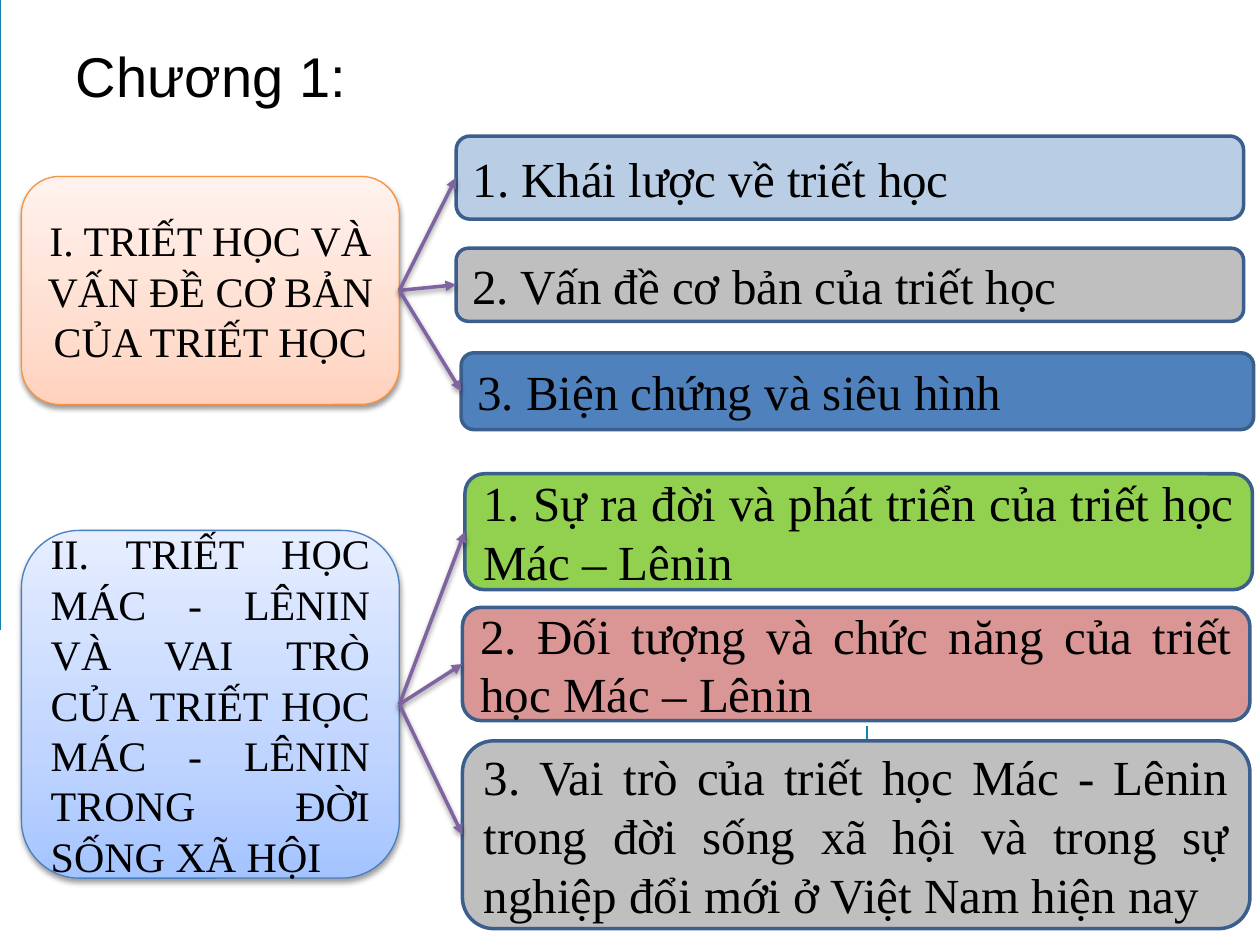
from pptx import Presentation
from pptx.dml.color import RGBColor
from pptx.enum.shapes import MSO_CONNECTOR, MSO_SHAPE
from pptx.enum.text import MSO_ANCHOR, PP_ALIGN
from pptx.oxml import parse_xml
from pptx.oxml.ns import nsdecls, qn
from pptx.util import Inches, Pt

RECTANGLE, ROUNDED = MSO_SHAPE.RECTANGLE, MSO_SHAPE.ROUNDED_RECTANGLE
STRAIGHT = MSO_CONNECTOR.STRAIGHT
LEFT, CENTER, JUSTIFY = PP_ALIGN.LEFT, PP_ALIGN.CENTER, PP_ALIGN.JUSTIFY
MIDDLE = MSO_ANCHOR.MIDDLE
LEFT_SITE, RIGHT_SITE = 1, 3
SERIF = "Times New Roman"

TITLE = "Chương 1:"
PANELS = [((0, 0, 10, 5), "1482AC"), ((0.01, 0, 9.99, 5), "FFFFFF")]
SECTIONS = [
    {
        "text": "I. TRIẾT HỌC VÀ VẤN ĐỀ CƠ BẢN CỦA TRIẾT HỌC",
        "box": (0.17, 1.4, 3, 1.81),
        "align": CENTER,
        "line": "F69240",
        "stops": [(0, "FFD2BD"), (35, "FFDED0"), (100, "FFF2ED")],
        "topics": [
            ("1. Khái lược về triết học", (3.62, 1.08, 6.25, 0.66), "B9CDE5"),
            ("2. Vấn đề cơ bản của triết học", (3.62, 1.97, 6.25, 0.58), "BFBFBF"),
            ("3. Biện chứng và siêu hình", (3.66, 2.8, 6.29, 0.61), "4F81BD"),
        ],
    },
    {
        "text": "II. TRIẾT HỌC MÁC - LÊNIN VÀ VAI TRÒ CỦA TRIẾT HỌC MÁC - LÊNIN "
                "TRONG ĐỜI SỐNG XÃ HỘI",
        "box": (0.17, 4.21, 3, 2.76),
        "align": JUSTIFY,
        "line": "4B7EBC",
        "stops": [(0, "A4C4FF"), (35, "BFD4FF"), (100, "E6EEFF")],
        "topics": [
            ("1. Sự ra đời và phát triển của triết học Mác – Lênin",
             (3.69, 3.76, 6.25, 0.92), "92D050"),
            ("2. Đối tượng và chức năng của triết học Mác – Lênin",
             (3.67, 4.82, 6.25, 0.9), "D99694"),
            ("3. Vai trò của triết học Mác - Lênin trong đời sống xã hội và trong sự "
             "nghiệp đổi mới ở Việt Nam hiện nay",
             (3.67, 5.88, 6.25, 1.49), "BFBFBF"),
        ],
    },
]


def color(hex_code):
    """Turn a hex string into a colour."""
    return RGBColor.from_string(hex_code)


def write(shape, text, size, font_name, alignment):
    """Put one formatted run, vertically centred, in a shape."""
    frame = shape.text_frame
    frame.word_wrap = True
    frame.vertical_anchor = MIDDLE
    paragraph = frame.paragraphs[0]
    paragraph.alignment = alignment
    run = paragraph.add_run()
    run.text = text
    run.font.size = Pt(size)
    run.font.name = font_name
    run.font.color.rgb = color("000000")
    return paragraph


def set_line(shape, hex_code, width):
    """Set the colour and width of a line or outline."""
    shape.line.color.rgb = color(hex_code)
    shape.line.width = Pt(width)


def fill_solid(shape, hex_code):
    """Fill a shape with one colour."""
    shape.fill.solid()
    shape.fill.fore_color.rgb = color(hex_code)


def add_box(slide, kind, box):
    """Add a preset shape without a shadow."""
    shape = slide.shapes.add_shape(kind, *map(Inches, box))
    shape.shadow.inherit = False
    return shape


def set_effects(shape, content=""):
    """Replace the effects of a shape or connector."""
    properties = shape._element.spPr
    for effects in properties.findall(qn("a:effectLst")):
        properties.remove(effects)
    properties.append(parse_xml(
        f'<a:effectLst {nsdecls("a")}>{content}</a:effectLst>'))


def add_soft_shadow(shape):
    """Give a shape a soft shadow straight below it."""
    set_effects(shape, (
        f'<a:outerShdw blurRad="{Pt(3.1)}" dist="{Pt(1.6)}" dir="5400000" '
        'rotWithShape="0"><a:srgbClr val="000000"><a:alpha val="38000"/>'
        '</a:srgbClr></a:outerShdw>'))


def fill_gradient(shape, stops):
    """Fill a shape with colour stops running from bottom to top."""
    shape.fill.gradient()
    shape.fill.gradient_angle = 90
    stop_list = shape._element.spPr.find(qn("a:gradFill")).find(qn("a:gsLst"))
    for stop in list(stop_list):
        stop_list.remove(stop)
    for position, hex_code in stops:
        stop_list.append(parse_xml(
            f'<a:gs {nsdecls("a")} pos="{position * 1000}">'
            f'<a:srgbClr val="{hex_code}"/></a:gs>'))


def add_line(slide, start, end, hex_code, width):
    """Add a straight line without a shadow."""
    line = slide.shapes.add_connector(STRAIGHT, *map(Inches, start + end))
    set_line(line, hex_code, width)
    set_effects(line)
    return line


def add_arrow(slide, section_box, topic_box):
    """Join a section to one of its topics with an arrow."""
    arrow = add_line(slide, (0, 0), (0, 0), "8064A2", 2)
    arrow.begin_connect(section_box, RIGHT_SITE)
    arrow.end_connect(topic_box, LEFT_SITE)
    arrow.line._get_or_add_ln().append(parse_xml(
        f'<a:tailEnd {nsdecls("a")} type="triangle"/>'))
    add_soft_shadow(arrow)


def add_background(slide):
    """Add the panels that leave a thin edge at the left, and the divider."""
    for box, fill in PANELS:
        panel = add_box(slide, RECTANGLE, box)
        fill_solid(panel, fill)
        panel.line.fill.background()
    add_line(slide, (6.88, 6.76), (6.88, 5.76), "1482AC", 1.5)


def add_title(slide):
    """Format the title and bring it in front of the background."""
    title = slide.shapes.title
    title.left, title.top, title.width, title.height = map(Inches, (0.5, 0.17, 9, 0.92))
    write(title, TITLE, 32, "Arial", LEFT).line_spacing = 0.9
    slide.shapes._spTree.append(title._element)


def add_section(slide, section):
    """Add a section box, its topic boxes and the arrows between them."""
    section_box = add_box(slide, ROUNDED, section["box"])
    set_line(section_box, section["line"], 0.75)
    fill_gradient(section_box, section["stops"])
    add_soft_shadow(section_box)
    write(section_box, section["text"], 24, SERIF, section["align"])
    for text, box, fill in section["topics"]:
        topic_box = add_box(slide, ROUNDED, box)
        set_line(topic_box, "3A5F8C", 2)
        fill_solid(topic_box, fill)
        write(topic_box, text, 28, SERIF, JUSTIFY)
        add_arrow(slide, section_box, topic_box)


def main():
    """Build the chapter outline slide."""
    presentation = Presentation()
    presentation.slide_width, presentation.slide_height = Inches(10), Inches(7.5)
    slide = presentation.slides.add_slide(presentation.slide_layouts[5])
    add_background(slide)
    add_title(slide)
    for section in SECTIONS:
        add_section(slide, section)
    presentation.save("out.pptx")


if __name__ == "__main__":
    main()
